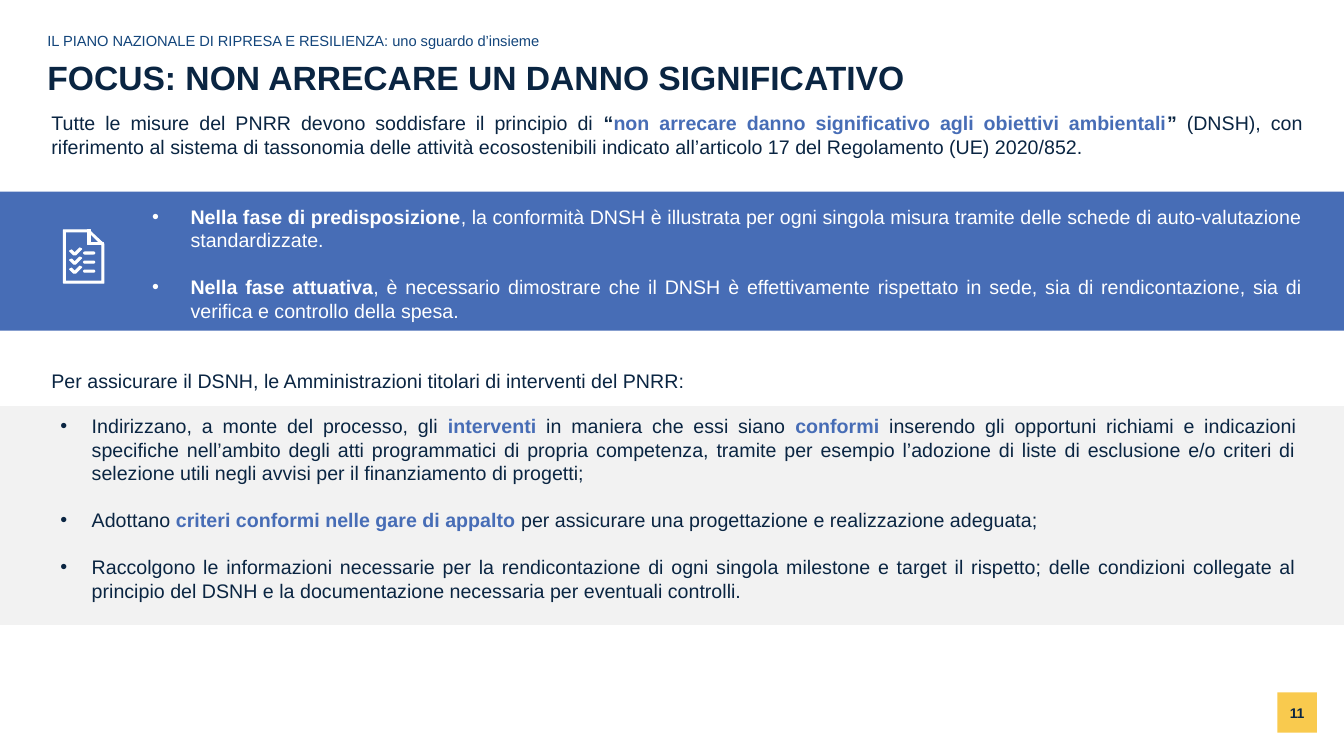
from lxml.etree import SubElement
from pptx import Presentation
from pptx.dml.color import RGBColor
from pptx.enum.shapes import MSO_SHAPE as Shape
from pptx.enum.text import MSO_ANCHOR as Anchor, MSO_AUTO_SIZE as AutoSize, PP_ALIGN as Align
from pptx.oxml.ns import qn
from pptx.util import Pt

PX = 9144
NAVY, BLUE, WHITE = "0A2542", "476DB6", "FFFFFF"
LINE = 16.7

INTRO = [
    ("Tutte le misure del PNRR devono soddisfare il principio di ", False, NAVY),
    ("“", True, NAVY),
    ("non arrecare danno significativo agli obiettivi ambientali", True, BLUE),
    ("” ", True, NAVY),
    ("(DNSH), con riferimento al sistema di tassonomia delle attività ecosostenibili "
     "indicato all’articolo 17 del Regolamento (UE) 2020/852.", False, NAVY),
]
PHASES = [
    [("Nella fase di predisposizione", True, WHITE),
     (", la conformità DNSH è illustrata per ogni singola misura tramite delle schede di "
      "auto-valutazione standardizzate.", False, WHITE)],
    [("Nella fase attuativa", True, WHITE),
     (", è necessario dimostrare che il DNSH è effettivamente rispettato in sede, sia di "
      "rendicontazione, sia di verifica e controllo della spesa.", False, WHITE)],
]
LEAD_IN = [("Per assicurare il DSNH, le Amministrazioni titolari di interventi del PNRR:", False, NAVY)]
ACTIONS = [
    [("Indirizzano, a monte del processo, gli ", False, NAVY),
     ("interventi", True, BLUE),
     (" in maniera che essi siano ", False, NAVY),
     ("conformi", True, BLUE),
     (" inserendo gli opportuni richiami e indicazioni specifiche nell’ambito degli atti "
      "programmatici di propria competenza, tramite per esempio l’adozione di liste di "
      "esclusione e/o criteri di selezione utili negli avvisi per il finanziamento di progetti;",
      False, NAVY)],
    [("Adottano ", False, NAVY),
     ("criteri conformi nelle gare di appalto ", True, BLUE),
     ("per assicurare una progettazione e realizzazione adeguata;", False, NAVY)],
    [("Raccolgono le informazioni necessarie per la rendicontazione di ogni singola milestone "
      "e target il rispetto; delle condizioni collegate al principio del DSNH e la "
      "documentazione necessaria per eventuali controlli.", False, NAVY)],
]

SHEET_OUTER = [(63, 228), (88, 228), (103, 242), (103, 281), (63, 281)]
SHEET_INNER = [(65, 230), (88, 230), (101, 243), (101, 279), (65, 279)]
FOLD = [(87, 228), (90, 228), (90, 241), (103, 241), (103, 243), (87, 243)]
TICK = [(69, 249), (71, 248), (74, 251), (79, 246), (81, 247), (75, 253), (73, 253)]


def rgb(value):
    return RGBColor.from_string(value)


def box(*lengths):
    return [length * PX for length in lengths]


def place(placeholder, area):
    placeholder.left, placeholder.top, placeholder.width, placeholder.height = box(*area)
    placeholder.text_frame.auto_size = AutoSize.NONE
    return placeholder.text_frame


def set_font(paragraph, size, color, bold=False):
    font = paragraph.font
    font.name, font.size, font.bold = "Arial", Pt(size), bold
    font.color.rgb = rgb(color)


def paint(shape, color, outlined=False):
    shape.shadow.inherit = False
    shape.fill.solid()
    shape.fill.fore_color.rgb = rgb(color)
    if outlined:
        shape.line.color.rgb = rgb(color)
        shape.line.width = Pt(0.75)
    else:
        shape.line.fill.background()


def add_panel(slide, area, color):
    panel = slide.shapes.add_shape(Shape.RECTANGLE, *box(*area))
    paint(panel, color)
    return panel


def write_heading(frame, text, size, color, bold=False):
    frame.word_wrap = True
    frame.margin_left = 0
    frame.vertical_anchor = Anchor.MIDDLE
    paragraph = frame.paragraphs[0]
    paragraph.text = text
    paragraph.alignment = Align.LEFT
    paragraph.line_spacing = 0.9
    set_font(paragraph, size, color, bold)


def write_body(frame, entries):
    for index, (runs, gap_lines, indent, hanging) in enumerate(entries):
        paragraph = frame.add_paragraph() if index else frame.paragraphs[0]
        paragraph.alignment = Align.JUSTIFY
        paragraph.space_before = Pt(gap_lines * LINE)
        properties = paragraph._p.get_or_add_pPr()
        properties.set("marL", str(indent * PX))
        properties.set("indent", str(-hanging * PX))
        if hanging:
            SubElement(properties, qn("a:buFont"), typeface="Arial")
            SubElement(properties, qn("a:buChar"), char="•")
        else:
            SubElement(properties, qn("a:buNone"))
        set_font(paragraph, 14, runs[0][2])
        for text, bold, color in runs:
            run = paragraph.add_run()
            run.text = text
            if bold:
                run.font.bold = True
            if color != runs[0][2]:
                run.font.color.rgb = rgb(color)


def add_outline(group, *contours):
    builder = group.shapes.build_freeform(*contours[0][0], scale=PX)
    builder.add_line_segments(contours[0][1:])
    for contour in contours[1:]:
        builder.move_to(*contour[0])
        builder.add_line_segments(contour[1:])
    paint(builder.convert_to_shape(), WHITE, outlined=True)


def add_checklist_icon(slide):
    icon = slide.shapes.add_group_shape()
    add_outline(icon, SHEET_OUTER, SHEET_INNER)
    add_outline(icon, FOLD)
    for row in range(3):
        drop = row * 9
        item = icon.shapes.add_shape(Shape.ROUNDED_RECTANGLE, *box(83, 250 + drop, 11, 2))
        item.adjustments[0] = 0.5
        paint(item, WHITE, outlined=True)
        add_outline(icon, [(x, y + drop) for x, y in TICK])


def add_page_number(slide, number):
    badge = add_panel(slide, (1267, 687, 39, 40), "F9CA4E")
    frame = badge.text_frame
    frame.margin_left = frame.margin_right = frame.margin_top = frame.margin_bottom = 0
    frame.vertical_anchor = Anchor.MIDDLE
    paragraph = frame.paragraphs[0]
    paragraph.text = number
    paragraph.alignment = Align.CENTER
    set_font(paragraph, 10, "0A2643", True)


def main():
    deck = Presentation()
    deck.slide_width, deck.slide_height = box(1333, 750)
    slide = deck.slides.add_slide(deck.slide_layouts[3])
    title, principle, actions = slide.placeholders

    for area, color in [((0, 403, 1333, 217), "F2F2F2"), ((0, 190, 1333, 138), BLUE)]:
        title.element.addprevious(add_panel(slide, area, color).element)

    write_heading(place(title, (47, 56, 1261, 46)),
                  "FOCUS: NON ARRECARE UN DANNO SIGNIFICATIVO", 24, NAVY, True)
    section = slide.shapes.add_textbox(*box(47, 28, 929, 26))
    write_heading(section.text_frame,
                  "IL PIANO NAZIONALE DI RIPRESA E RESILIENZA: uno sguardo d’insieme", 10.5, "13457B")

    write_body(place(principle, (41, 105, 1261, 293)), [
        (INTRO, 0, 0, 0),
        (PHASES[0], 2, 138, 38),
        (PHASES[1], 1, 138, 38),
        (LEAD_IN, 2, 0, 0),
    ])
    write_body(place(actions, (11, 406, 1285, 199)),
               [(runs, min(index, 1), 70, 31) for index, runs in enumerate(ACTIONS)])

    add_checklist_icon(slide)
    add_page_number(slide, "11")
    deck.save("out.pptx")


if __name__ == "__main__":
    main()
